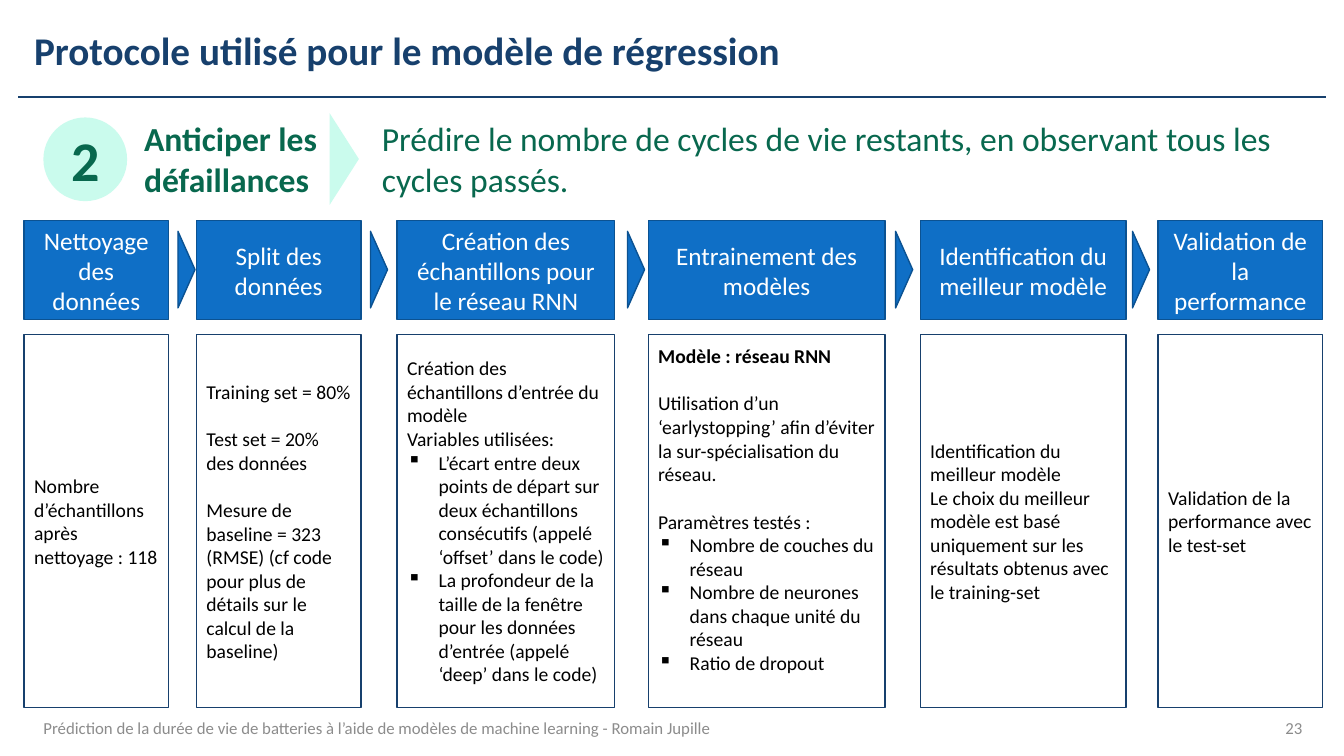
from lxml import etree
from pptx import Presentation
from pptx.dml.color import RGBColor
from pptx.enum import shapes as sh, text as tx
from pptx.oxml import ns
from pptx.util import Pt

NAVY = RGBColor(0x17, 0x40, 0x6D)
BLUE = RGBColor(0x0F, 0x6F, 0xC6)
BLUE_EDGE = RGBColor(0x0B, 0x52, 0x92)
MINT = RGBColor(0xCA, 0xFB, 0xED)
GREEN = RGBColor(0x08, 0x68, 0x4E)
GREY = RGBColor(0x8C, 0x8C, 0x8C)
WHITE = RGBColor(0xFF, 0xFF, 0xFF)
BLACK = RGBColor(0, 0, 0)

FONT = "Calibri"
BLANK_LINE = 17.1  # height of one line at 14 pt
INDENT = 22.5
HEAD_TOP, HEAD_HEIGHT = 157.7, 70.6
DETAIL_TOP, DETAIL_HEIGHT = 239, 266.4

# Detail lines: "*" makes a bullet, "+" leaves a gap above, "!" is bold
# Each step: left, width, heading, detail lines, extra bottom margin
STEPS = [
    (17.3, 103, "Nettoyage des données",
     ["Nombre d’échantillons après nettoyage : 118"], 0),
    (140.4, 117.4, "Split des données",
     ["Training set = 80%",
      "+Test set = 20% des données",
      "+Mesure de baseline = 323 (RMSE) (cf code pour plus de détails "
      "sur le calcul de la baseline)"], 0),
    (283.7, 155.5, "Création des échantillons pour le réseau RNN",
     ["Création des échantillons d’entrée du modèle",
      "Variables utilisées:",
      "*L’écart entre deux points de départ sur deux échantillons "
      "consécutifs (appelé ‘offset’ dans le code)",
      "*La profondeur de la taille de la fenêtre pour les données "
      "d’entrée (appelé ‘deep’ dans le code)"], 0),
    (463, 169.2, "Entrainement des modèles",
     ["!Modèle : réseau RNN",
      "+Utilisation d’un ‘earlystopping’ afin d’éviter la "
      "sur-spécialisation du réseau.",
      "+Paramètres testés :",
      "*Nombre de couches du réseau",
      "*Nombre de neurones dans chaque unité du réseau",
      "*Ratio de dropout"], BLANK_LINE),
    (657.4, 146.9, "Identification du meilleur modèle",
     ["Identification du meilleur modèle",
      "Le choix du meilleur modèle est basé uniquement sur les résultats "
      "obtenus avec le training-set"], 0),
    (827.3, 117.4, "Validation de la performance",
     ["Validation de la performance avec le test-set"], 0),
]
ARROW_CENTRES = [133.2, 270.7, 454.3, 645.8, 815]


def set_font(paragraph, size, color, bold=False):
    font = paragraph.font
    font.name, font.size, font.bold = FONT, Pt(size), bold
    font.color.rgb = color


def write(holder, words, size, color, bold=False, align=tx.PP_ALIGN.LEFT):
    frame = holder.text_frame
    frame.word_wrap = True
    frame.vertical_anchor = tx.MSO_ANCHOR.MIDDLE
    paragraph = frame.paragraphs[0]
    paragraph.text = words
    paragraph.alignment = align
    set_font(paragraph, size, color, bold)
    return frame


def add_label(slide, box, words, size, color, **style):
    label = slide.shapes.add_textbox(*map(Pt, box))
    return write(label, words, size, color, **style)


def add_figure(slide, preset, box, fill=None, edge=None):
    figure = slide.shapes.add_shape(preset, *map(Pt, box))
    figure.shadow.inherit = False
    if fill is None:
        figure.fill.background()
    else:
        figure.fill.solid()
        figure.fill.fore_color.rgb = fill
    if edge is None:
        figure.line.fill.background()
    else:
        figure.line.color.rgb = edge
        figure.line.width = Pt(1)
    return figure


def add_arrow(slide, centre_x, centre_y, length, depth, fill, edge=None):
    """Triangle turned to point right."""
    box = (centre_x - length / 2, centre_y - depth / 2, length, depth)
    arrow = add_figure(slide, sh.MSO_SHAPE.ISOSCELES_TRIANGLE, box, fill, edge)
    arrow.rotation = 90


def add_rule(slide, left, right, y):
    rule = slide.shapes.add_connector(
        sh.MSO_CONNECTOR.STRAIGHT, Pt(left), Pt(y), Pt(right), Pt(y))
    rule.line.color.rgb = NAVY
    rule.line.width = Pt(1.5)
    etree.SubElement(rule._element.spPr, ns.qn("a:effectLst"))


def add_bullet(paragraph):
    properties = paragraph._p.get_or_add_pPr()
    properties.set("marL", str(Pt(INDENT)))
    properties.set("indent", str(-Pt(INDENT)))
    etree.SubElement(properties, ns.qn("a:buChar")).set("char", "▪")


def write_details(holder, lines, extra_bottom):
    frame = holder.text_frame
    frame.word_wrap = True
    frame.vertical_anchor = tx.MSO_ANCHOR.MIDDLE
    frame.margin_bottom = Pt(3.6 + extra_bottom)
    for number, line in enumerate(lines):
        paragraph = frame.add_paragraph() if number else frame.paragraphs[0]
        mark = line[0]
        paragraph.text = line.lstrip("*+!")
        paragraph.alignment = tx.PP_ALIGN.LEFT
        if mark == "+":
            paragraph.space_before = Pt(BLANK_LINE)
        if mark == "*":
            add_bullet(paragraph)
        set_font(paragraph, 14, BLACK, bold=mark == "!")


def add_step(slide, left, width, heading, lines, extra_bottom):
    head = add_figure(slide, sh.MSO_SHAPE.RECTANGLE,
                      (left, HEAD_TOP, width, HEAD_HEIGHT), BLUE, BLUE_EDGE)
    write(head, heading, 18, WHITE, align=tx.PP_ALIGN.CENTER)
    detail = add_figure(slide, sh.MSO_SHAPE.RECTANGLE,
                        (left, DETAIL_TOP, width, DETAIL_HEIGHT), edge=NAVY)
    write_details(detail, lines, extra_bottom)


def main():
    deck = Presentation()
    deck.slide_width, deck.slide_height = Pt(960), Pt(540)
    slide = deck.slides.add_slide(deck.slide_layouts[6])

    # Title
    add_rule(slide, 13, 946.8, 69.1)
    title = add_label(slide, (17.3, 11.5, 928, 51.8),
                      "Protocole utilisé pour le modèle de régression",
                      28, NAVY, bold=True)
    title.paragraphs[0].line_spacing = 0.9

    # Goal
    badge = add_figure(slide, sh.MSO_SHAPE.OVAL, (31, 83.9, 59.8, 59.8), MINT)
    write(badge, "2", 40, GREEN, bold=True, align=tx.PP_ALIGN.CENTER)
    add_label(slide, (95.8, 80.6, 152.6, 65.5), "Anticiper les défaillances",
              24, GREEN, bold=True)
    add_arrow(slide, 245.9, 113.6, 65.5, 20.9, MINT)
    add_label(slide, (265.7, 80.6, 656, 65.5),
              "Prédire le nombre de cycles de vie restants, en observant "
              "tous les cycles passés.", 24, GREEN)

    # Process steps
    for step in STEPS:
        add_step(slide, *step)
    for centre in ARROW_CENTRES:
        add_arrow(slide, centre, 192.6, 54.7, 12.2, BLUE, BLUE_EDGE)

    # Footer
    footer = add_label(slide, (31, 505.4, 799, 28.8),
                       "Prédiction de la durée de vie de batteries à l’aide de "
                       "modèles de machine learning - Romain Jupille", 12, GREY)
    footer.margin_left = 0
    add_label(slide, (892.8, 505.4, 44.6, 28.8), "23", 12, GREY,
              align=tx.PP_ALIGN.RIGHT)

    deck.save("out.pptx")


if __name__ == "__main__":
    main()
